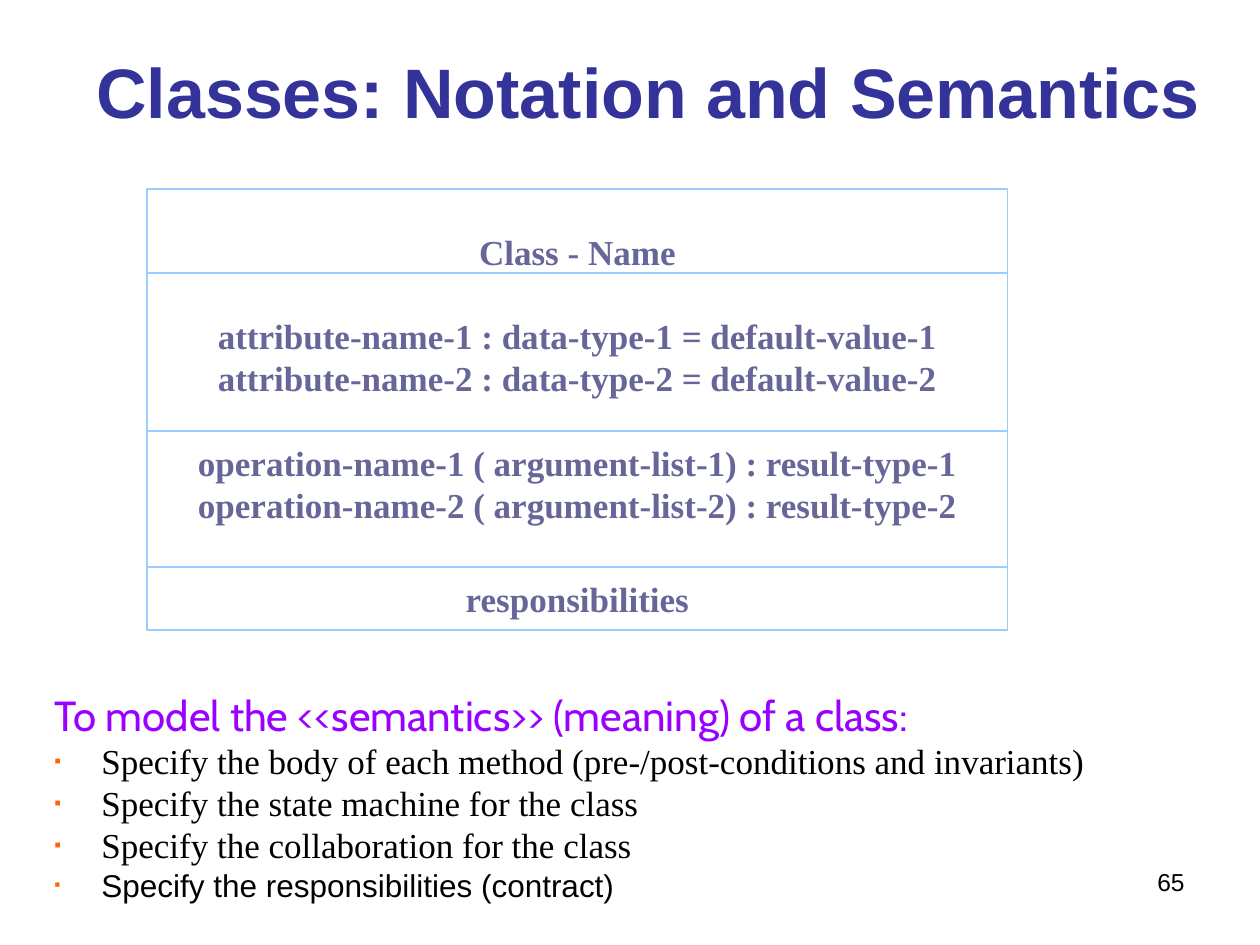
from dataclasses import dataclass

from lxml.etree import SubElement
from pptx import Presentation
from pptx.dml.color import RGBColor
from pptx.enum.shapes import MSO_CONNECTOR, MSO_SHAPE
from pptx.enum.text import MSO_ANCHOR, PP_ALIGN
from pptx.oxml.ns import qn
from pptx.util import Emu, Pt

PX = 914400 // 126


@dataclass(frozen=True)
class Theme:
    title: str = "333399"
    class_text: str = "666699"
    class_line: str = "99CCFF"
    heading: str = "9900FF"
    body: str = "000000"
    bullet: str = "FF6600"
    sans: str = "Arial"
    serif: str = "Times New Roman"
    accent: str = "Cabin"
    title_size: int = 40
    heading_size: int = 24
    text_size: int = 20
    small_size: int = 18
    number_size: int = 14
    line_width: float = 0.75


THEME = Theme()


def px(*lengths):
    return [Emu(length * PX) for length in lengths]


def style(paragraph, name, size, color, bold=False):
    font = paragraph.font
    font.name, font.size, font.bold = name, Pt(size), bold
    font.color.rgb = RGBColor.from_string(color)


def add_text_box(slide, box, anchor=MSO_ANCHOR.TOP):
    frame = slide.shapes.add_textbox(*px(*box)).text_frame
    frame.word_wrap = True
    frame.vertical_anchor = anchor
    return frame


def set_line(shape):
    shape.line.color.rgb = RGBColor.from_string(THEME.class_line)
    shape.line.width = Pt(THEME.line_width)


def add_title(slide, box, text):
    paragraph = add_text_box(slide, box, MSO_ANCHOR.MIDDLE).paragraphs[0]
    paragraph.text = text
    style(paragraph, THEME.sans, THEME.title_size, THEME.title, bold=True)


def add_compartment(slide, box, groups):
    """Outlined box of centred lines, with a one-line gap between groups."""
    shape = slide.shapes.add_shape(MSO_SHAPE.RECTANGLE, *px(*box))
    shape.shadow.inherit = False
    shape.fill.background()
    set_line(shape)
    frame = shape.text_frame
    frame.word_wrap = False
    frame.vertical_anchor = MSO_ANCHOR.MIDDLE
    paragraph = None
    for group in groups:
        for index, text in enumerate(group):
            first = paragraph is None
            paragraph = frame.paragraphs[0] if first else frame.add_paragraph()
            paragraph.text = text
            paragraph.alignment = PP_ALIGN.CENTER
            if index == 0 and not first:
                paragraph.space_before = Pt(24)
            style(paragraph, THEME.serif, THEME.text_size, THEME.class_text, bold=True)


def add_divider(slide, left, top, width):
    divider = slide.shapes.add_connector(
        MSO_CONNECTOR.STRAIGHT, *px(left, top, left + width, top))
    set_line(divider)
    SubElement(divider.element.spPr, qn("a:effectLst"))


def add_class_diagram(slide, box, members, responsibilities):
    left, top, width, height = box
    footer = 63
    # Name, attributes and operations
    add_compartment(slide, (left, top, width, height - footer), members)
    for offset in (84, 242):
        add_divider(slide, left, top + offset, width)
    # Responsibilities
    add_compartment(slide, (left, top + height - footer, width, footer),
                    [[responsibilities]])


def add_bullet(paragraph, indent):
    properties = paragraph._p.get_or_add_pPr()
    properties.set("marL", str(indent * PX))
    properties.set("indent", str(-indent * PX))
    color = SubElement(properties, qn("a:buClr"))
    SubElement(color, qn("a:srgbClr"), val=THEME.bullet)
    SubElement(properties, qn("a:buSzPct"), val="55000")
    SubElement(properties, qn("a:buFont"), typeface=THEME.sans)
    SubElement(properties, qn("a:buChar"), char="▪")


def add_semantics(slide, box, heading, items):
    frame = add_text_box(slide, box)
    paragraph = frame.paragraphs[0]
    paragraph.text = heading
    style(paragraph, THEME.accent, THEME.heading_size, THEME.heading)
    for text, name, size in items:
        paragraph = frame.add_paragraph()
        paragraph.text = text
        add_bullet(paragraph, indent=47)
        style(paragraph, name, size, THEME.body)


def add_slide_number(slide, box, number):
    paragraph = add_text_box(slide, box).paragraphs[0]
    paragraph.text = number
    paragraph.alignment = PP_ALIGN.RIGHT
    style(paragraph, THEME.sans, THEME.number_size, THEME.body)


def main():
    presentation = Presentation()
    presentation.slide_width, presentation.slide_height = px(1260, 945)
    slide = presentation.slides.add_slide(presentation.slide_layouts[6])

    add_title(slide, (84, 30, 1144, 121), "Classes: Notation and Semantics")
    add_class_diagram(
        slide, (147, 189, 861, 441),
        [["Class - Name"],
         ["attribute-name-1 : data-type-1 = default-value-1",
          "attribute-name-2 : data-type-2 = default-value-2"],
         ["operation-name-1 ( argument-list-1) : result-type-1",
          "operation-name-2 ( argument-list-2) : result-type-2"]],
        "responsibilities")
    serif_item = (THEME.serif, THEME.text_size)
    add_semantics(
        slide, (42, 683, 1113, 227),
        "To model the <<semantics>> (meaning) of a class:",
        [("Specify the body of each method (pre-/post-conditions and invariants)",
          *serif_item),
         ("Specify the state machine for the class", *serif_item),
         ("Specify the collaboration for the class", *serif_item),
         ("Specify the responsibilities (contract)", THEME.sans, THEME.small_size)])
    add_slide_number(slide, (903, 861, 294, 66), "65")
    presentation.save("out.pptx")


if __name__ == "__main__":
    main()
